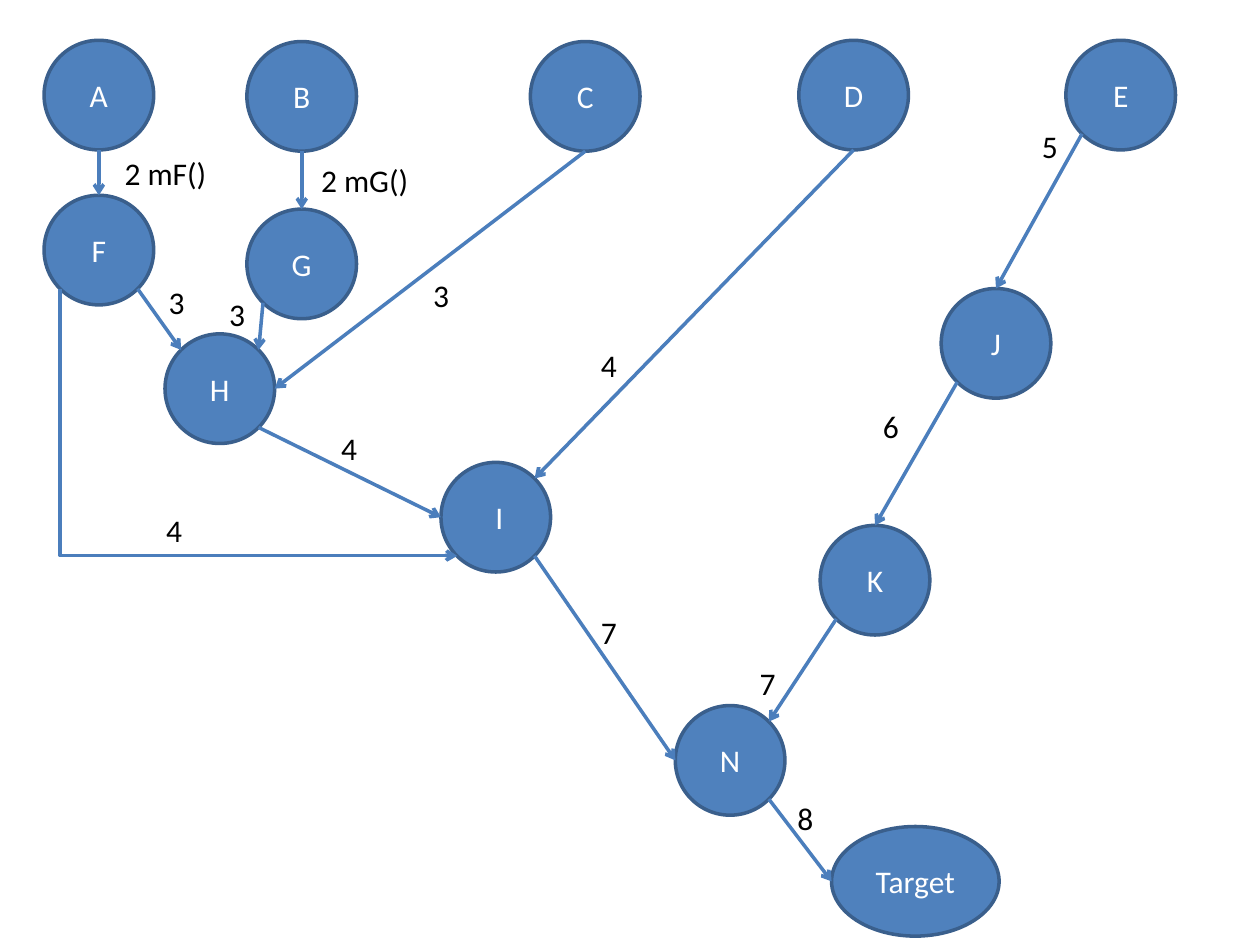
from dataclasses import dataclass
from enum import IntEnum

from lxml import etree
from pptx import Presentation
from pptx import util as u
from pptx.dml.color import RGBColor
from pptx.enum import shapes, text
from pptx.oxml.ns import qn


@dataclass(frozen=True)
class Theme:
    """Colours, font and sizes of the diagram."""
    font: str = "Calibri"
    size: int = 18
    node_fill: str = "4F81BD"
    node_line: str = "3A5F8C"
    arrow: str = "4B7EBC"
    node_text: str = "FFFFFF"
    label_text: str = "000000"
    line_width: int = 2


class Site(IntEnum):
    """Connection sites of an ellipse, counter-clockwise from the top."""
    TOP = 0
    TOP_LEFT = 1
    LEFT = 2
    BOTTOM_LEFT = 3
    BOTTOM = 4
    BOTTOM_RIGHT = 5
    RIGHT = 6
    TOP_RIGHT = 7


@dataclass(frozen=True)
class Node:
    """An ellipse with a name, placed in inches."""
    name: str
    left: float
    top: float
    width: float = 0.87
    height: float = 0.87

    def site(self, site: Site) -> tuple[float, float]:
        """Return the position of a connection site."""
        across, down = SITE_OFFSETS[site]
        return (self.left + self.width / 2 * (1 + across),
                self.top + self.height / 2 * (1 + down))


@dataclass(frozen=True)
class Edge:
    """A straight arrow between sites of two nodes."""
    source: str
    source_site: Site
    target: str
    target_site: Site


@dataclass(frozen=True)
class Label:
    """A step label beside an arrow."""
    wording: str
    left: float
    top: float
    width: float = 0.33


THEME = Theme()
DIAGONAL = 0.5 ** 0.5
SITE_OFFSETS = {
    Site.TOP: (0, -1), Site.TOP_LEFT: (-DIAGONAL, -DIAGONAL),
    Site.LEFT: (-1, 0), Site.BOTTOM_LEFT: (-DIAGONAL, DIAGONAL),
    Site.BOTTOM: (0, 1), Site.BOTTOM_RIGHT: (DIAGONAL, DIAGONAL),
    Site.RIGHT: (1, 0), Site.TOP_RIGHT: (DIAGONAL, -DIAGONAL),
}
NODES = [
    Node("A", 0.35, 0.32), Node("B", 1.96, 0.33), Node("C", 4.21, 0.33),
    Node("D", 6.34, 0.32), Node("E", 8.46, 0.32), Node("F", 0.35, 1.55),
    Node("G", 1.96, 1.66), Node("H", 1.31, 2.65), Node(" I", 3.5, 3.67),
    Node("N", 5.36, 5.6), Node("Target", 6.6, 6.56, width=1.33),
    Node("J", 7.47, 2.29), Node("K", 6.51, 4.17),
]
EDGES = [
    Edge("A", Site.BOTTOM, "F", Site.TOP),
    Edge("B", Site.BOTTOM, "G", Site.TOP),
    Edge("F", Site.BOTTOM_RIGHT, "H", Site.TOP_LEFT),
    Edge("G", Site.BOTTOM_LEFT, "H", Site.TOP_RIGHT),
    Edge("H", Site.BOTTOM_RIGHT, "I", Site.LEFT),
    Edge("I", Site.BOTTOM_RIGHT, "N", Site.LEFT),
    Edge("N", Site.BOTTOM_RIGHT, "Target", Site.LEFT),
    Edge("K", Site.BOTTOM_LEFT, "N", Site.TOP_RIGHT),
    Edge("J", Site.BOTTOM_LEFT, "K", Site.TOP),
    Edge("E", Site.BOTTOM_LEFT, "J", Site.TOP),
    Edge("D", Site.BOTTOM, "I", Site.TOP_RIGHT),
    Edge("C", Site.BOTTOM, "H", Site.RIGHT),
]
LABELS = [
    Label("2 mF()", 0.89, 1.17, 0.86), Label("2 mG()", 2.45, 1.23, 0.9),
    Label("3", 1.24, 2.2), Label("3", 1.72, 2.29), Label("3", 3.34, 2.14),
    Label("4", 1.22, 4.01), Label("4", 2.61, 3.36), Label("4", 4.67, 2.7),
    Label("5", 8.17, 0.96), Label("6", 6.91, 3.18), Label("7", 5.93, 5.22),
    Label("7", 4.67, 4.82), Label("8", 6.23, 6.29),
]


def write(frame, wording: str, *, color: str, align=text.PP_ALIGN.LEFT,
          anchor=text.MSO_ANCHOR.TOP, wrap: bool = True) -> None:
    """Put formatted wording into a text frame."""
    frame.word_wrap = wrap
    frame.vertical_anchor = anchor
    paragraph = frame.paragraphs[0]
    paragraph.alignment = align
    run = paragraph.add_run()
    run.text = wording
    run.font.name = THEME.font
    run.font.size = u.Pt(THEME.size)
    run.font.color.rgb = RGBColor.from_string(color)


def draw_node(slide, node: Node):
    """Draw one ellipse with its name and return it."""
    ellipse = slide.shapes.add_shape(
        shapes.MSO_SHAPE.OVAL, u.Inches(node.left), u.Inches(node.top),
        u.Inches(node.width), u.Inches(node.height))
    ellipse.shadow.inherit = False
    ellipse.fill.solid()
    ellipse.fill.fore_color.rgb = RGBColor.from_string(THEME.node_fill)
    ellipse.line.color.rgb = RGBColor.from_string(THEME.node_line)
    ellipse.line.width = u.Pt(THEME.line_width)
    write(ellipse.text_frame, node.name, color=THEME.node_text,
          align=text.PP_ALIGN.CENTER, anchor=text.MSO_ANCHOR.MIDDLE)
    return ellipse


def draw_arrow(slide, start: tuple[float, float], end: tuple[float, float],
               kind=shapes.MSO_CONNECTOR.STRAIGHT):
    """Draw a connector with an open arrowhead at its end."""
    arrow = slide.shapes.add_connector(
        kind, *(u.Inches(length) for length in (*start, *end)))
    arrow.line.color.rgb = RGBColor.from_string(THEME.arrow)
    arrow.line.width = u.Pt(THEME.line_width)
    properties = arrow._element.spPr
    etree.SubElement(properties.find(qn("a:ln")), qn("a:tailEnd"), type="arrow")
    etree.SubElement(properties, qn("a:effectLst"))
    return arrow


def draw_edge(slide, edge: Edge, nodes: dict, ellipses: dict) -> None:
    """Draw an arrow and attach it to the sites of both nodes."""
    arrow = draw_arrow(slide, nodes[edge.source].site(edge.source_site),
                       nodes[edge.target].site(edge.target_site))
    links = arrow._element.find(".//" + qn("p:cNvCxnSpPr"))
    for tag, name, site in (("a:stCxn", edge.source, edge.source_site),
                            ("a:endCxn", edge.target, edge.target_site)):
        etree.SubElement(links, qn(tag), id=str(ellipses[name].shape_id),
                         idx=str(int(site)))


def draw_down_then_right(slide, start: tuple[float, float],
                         end: tuple[float, float]) -> None:
    """Draw an elbow arrow as a mirrored connector turned by 270 degrees."""
    center_x, center_y = (start[0] + end[0]) / 2, (start[1] + end[1]) / 2
    half_run, half_drop = (end[0] - start[0]) / 2, (end[1] - start[1]) / 2
    elbow = draw_arrow(slide, (center_x + half_drop, center_y - half_run),
                       (center_x - half_drop, center_y + half_run),
                       shapes.MSO_CONNECTOR.ELBOW)
    properties = elbow._element.spPr
    properties.find(qn("a:xfrm")).set("rot", str(270 * 60000))
    bend = properties.find(qn("a:prstGeom")).find(qn("a:avLst"))
    etree.SubElement(bend, qn("a:gd"), name="adj1", fmla="val 99800")


def draw_label(slide, label: Label) -> None:
    """Draw one step label."""
    box = slide.shapes.add_textbox(u.Inches(label.left), u.Inches(label.top),
                                   u.Inches(label.width), u.Inches(0.4))
    write(box.text_frame, label.wording, color=THEME.label_text, wrap=False)
    box.text_frame.auto_size = text.MSO_AUTO_SIZE.SHAPE_TO_FIT_TEXT


def main() -> None:
    """Build the call graph and save it."""
    deck = Presentation()
    deck.slide_width, deck.slide_height = u.Inches(10), u.Inches(7.5)
    slide = deck.slides.add_slide(deck.slide_layouts[6])
    nodes = {node.name.strip(): node for node in NODES}
    ellipses = {name: draw_node(slide, node) for name, node in nodes.items()}
    for edge in EDGES:
        draw_edge(slide, edge, nodes, ellipses)
    draw_down_then_right(slide, nodes["F"].site(Site.BOTTOM_LEFT),
                         nodes["I"].site(Site.BOTTOM_LEFT))
    for label in LABELS:
        draw_label(slide, label)
    deck.save("out.pptx")


main()
